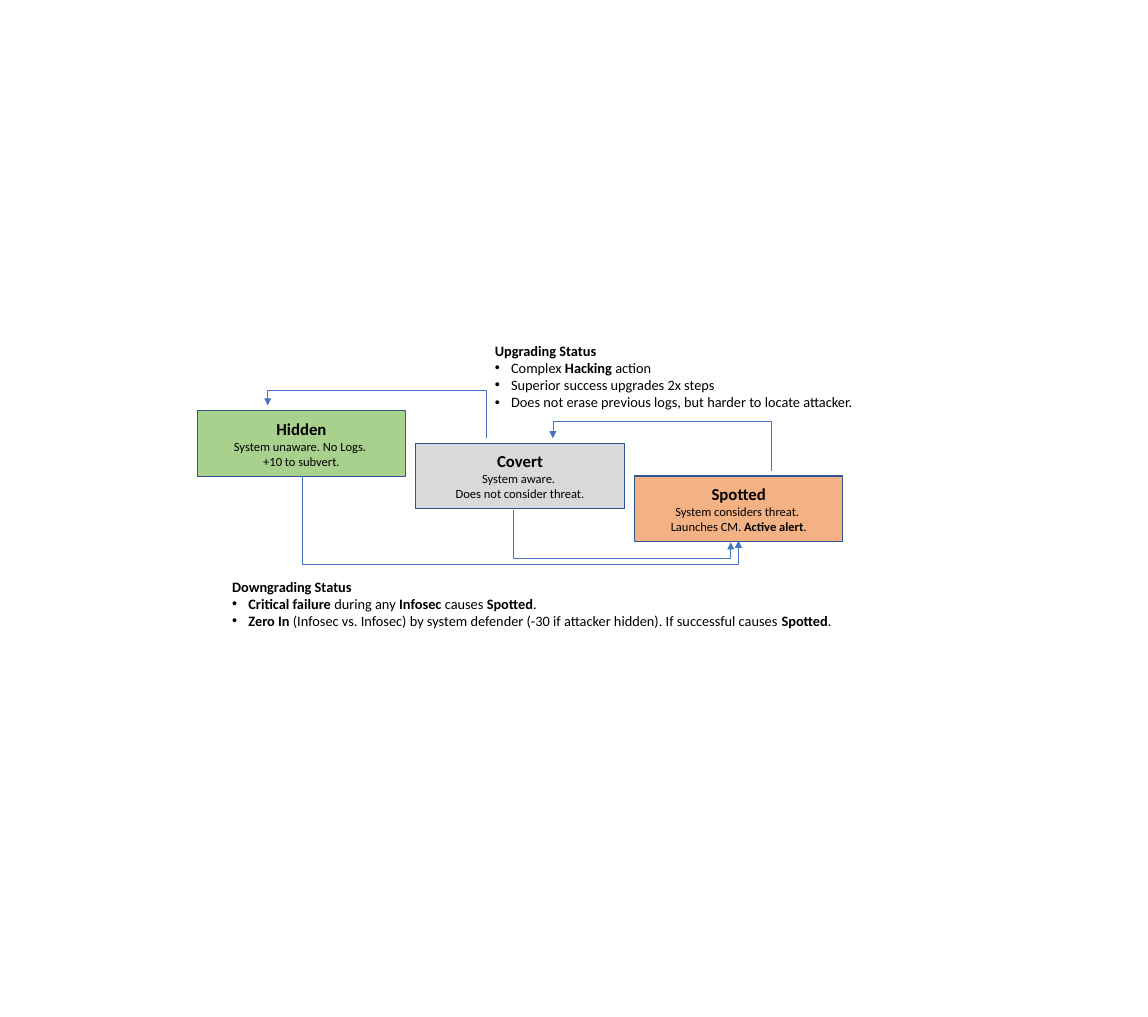
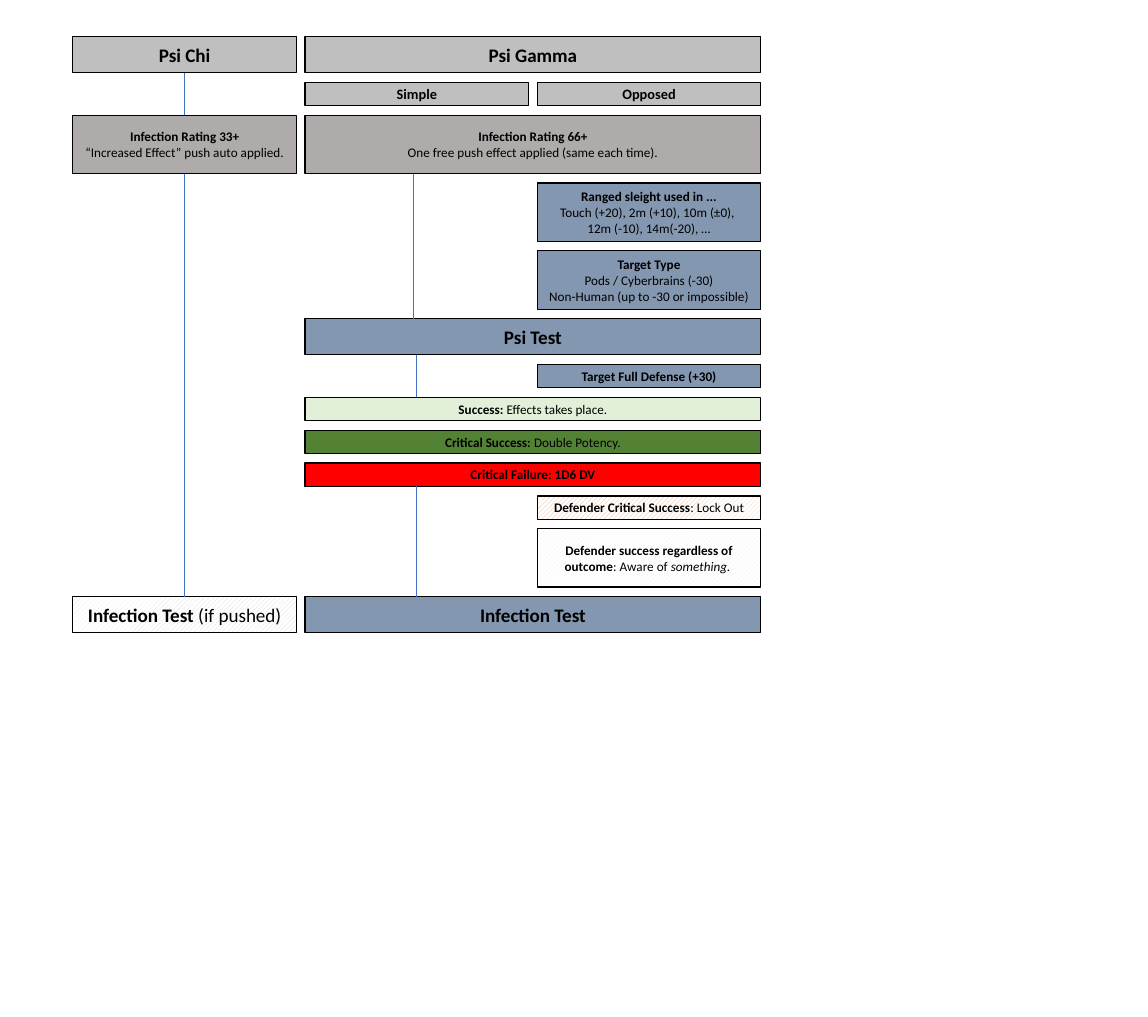
from lxml import etree
from pptx import Presentation
from pptx.dml.color import RGBColor
from pptx.enum.dml import MSO_PATTERN
from pptx.enum.shapes import MSO_CONNECTOR, MSO_SHAPE
from pptx.enum.text import MSO_ANCHOR, PP_ALIGN
from pptx.oxml.ns import qn
from pptx.util import Cm, Pt

RECTANGLE = MSO_SHAPE.RECTANGLE
STRAIGHT, ELBOW = MSO_CONNECTOR.STRAIGHT, MSO_CONNECTOR.ELBOW
DIAGONAL = MSO_PATTERN.WIDE_UPWARD_DIAGONAL
CENTER, LEFT = PP_ALIGN.CENTER, PP_ALIGN.LEFT
MIDDLE = MSO_ANCHOR.MIDDLE


class Theme:
    font = "Calibri"
    black, white = "000000", "FFFFFF"
    status_border, link = "325491", "4472C4"
    hidden, covert, spotted = "A9D18E", "D9D9D9", "F4B183"
    header, rating, step = "BFBFBF", "AFABAB", "8497B0"
    success, critical, failure = "E2F0D9", "548235", "FF0000"
    lock_hatch, aware_hatch, pushed_hatch = "F4B183", "F2F2F2", "D6DCE5"
    heading, state, note, body, detail = 16, 14, 12, 11, 10.5
    border, link_width = Pt(1), Pt(0.5)


def write(frame, lines, first_size, size, align=CENTER, bulleted=False):
    """Fill a frame; *...* is bold, *_...* is italic, \\n breaks a line."""
    frame.word_wrap = True
    for number, line in enumerate(lines):
        paragraph = frame.paragraphs[0] if number == 0 else frame.add_paragraph()
        paragraph.alignment = align
        for part_number, part in enumerate(line.split("*")):
            for piece_number, piece in enumerate(part.split("\n")):
                if piece_number:
                    paragraph.add_line_break()
                if not piece:
                    continue
                run = paragraph.add_run()
                run.text = piece.lstrip("_")
                run.font.name = Theme.font
                run.font.size = Pt(size if number else first_size)
                run.font.color.rgb = RGBColor.from_string(Theme.black)
                run.font.italic = piece.startswith("_")
                run.font.bold = part_number % 2 == 1 and not run.font.italic
        if bulleted and number:
            properties = paragraph._p.get_or_add_pPr()
            properties.set("marL", str(Cm(0.48)))
            properties.set("indent", str(-Cm(0.48)))
            etree.SubElement(properties, qn("a:buFont")).set("typeface", "Arial")
            etree.SubElement(properties, qn("a:buChar")).set("char", "•")


def add_box(slide, left, top, width, height, color, border, hatched=False):
    box = slide.shapes.add_shape(RECTANGLE, Cm(left), Cm(top), Cm(width), Cm(height))
    box.shadow.inherit = False
    if hatched:
        box.fill.patterned()
        box.fill.pattern = DIAGONAL
        box.fill.back_color.rgb = RGBColor.from_string(Theme.white)
    else:
        box.fill.solid()
    box.fill.fore_color.rgb = RGBColor.from_string(color)
    box.line.color.rgb = RGBColor.from_string(border)
    box.line.width = Theme.border
    box.text_frame.vertical_anchor = MIDDLE
    return box.text_frame


presentation = Presentation()
presentation.slide_width, presentation.slide_height = Cm(33.87), Cm(30)
blank = presentation.slide_layouts[6]
status_slide = presentation.slides.add_slide(blank)
psi_slide = presentation.slides.add_slide(blank)

# Status steps, descending from left to right
statuses = [
    (Theme.hidden, ["*Hidden*", "System unaware. No Logs. \n+10 to subvert."]),
    (Theme.covert, ["*Covert*", "System aware. \nDoes not consider threat."]),
    (Theme.spotted, ["*Spotted*",
                     "System considers threat. \nLaunches CM. *Active alert*."]),
]
for index, (color, lines) in enumerate(statuses):
    frame = add_box(status_slide, 5.82 + 6.45 * index, 12.12 + 0.96 * index,
                    6.15, 1.93, color, Theme.status_border)
    write(frame, lines, Theme.state, Theme.detail)

# Rules for changing status
rules = [
    (14.35, 9.96, 11.63, 2.82, [
        "*Upgrading Status*",
        "Complex *Hacking *action",
        "Superior success upgrades 2x steps",
        "Does not erase previous logs, but harder to locate attacker."]),
    (6.6, 16.92, 18.29, 1.8, [
        "*Downgrading Status*",
        "*Critical failure *during any *Infosec *causes *Spotted*.",
        "*Zero In *(Infosec vs. Infosec) by system defender "
        "(-30 if attacker hidden). If successful causes *Spotted*."]),
]
for left, top, width, height, lines in rules:
    panel = status_slide.shapes.add_textbox(Cm(left), Cm(top), Cm(width), Cm(height))
    write(panel.text_frame, lines, Theme.note, Theme.note, LEFT, True)

# Psi flow: three columns, rows stacked with one gap
COLUMN, COLUMN_STEP, WIDE = 6.6, 6.85, 13.45
TALL, BAR, BLOCK, GAP = 1.07, 0.69, 1.72, 0.28
CHI, GAMMA, OPPOSED = [2.15 + COLUMN_STEP * index for index in range(3)]
SIMPLE = GAMMA
# Each row: name, height, type size, boxes (left, width, colour, hatched, lines)
rows = [
    ("header", TALL, Theme.heading, [
        (CHI, COLUMN, Theme.header, False, ["*Psi Chi*"]),
        (GAMMA, WIDE, Theme.header, False, ["*Psi Gamma*"])]),
    ("kind", BAR, Theme.note, [
        (SIMPLE, COLUMN, Theme.header, False, ["*Simple*"]),
        (OPPOSED, COLUMN, Theme.header, False, ["*Opposed*"])]),
    ("rating", BLOCK, Theme.body, [
        (CHI, COLUMN, Theme.rating, False,
         ["*Infection Rating 33+*", "“Increased Effect” push auto applied."]),
        (GAMMA, WIDE, Theme.rating, False,
         ["*Infection Rating 66+*", "One free push effect applied (same each time)."])]),
    ("range", BLOCK, Theme.body, [
        (OPPOSED, COLUMN, Theme.step, False,
         ["*Ranged sleight used in ...*", "Touch (+20), 2m (+10), 10m (±0), ",
          "12m (-10), 14m(-20), …"])]),
    ("target", BLOCK, Theme.body, [
        (OPPOSED, COLUMN, Theme.step, False,
         ["*Target Type*", "Pods / Cyberbrains (-30)",
          "Non-Human (up to -30 or impossible)"])]),
    ("psi test", TALL, Theme.heading, [
        (GAMMA, WIDE, Theme.step, False, ["*Psi Test*"])]),
    ("defense", BAR, Theme.body, [
        (OPPOSED, COLUMN, Theme.step, False, ["*Target Full Defense (+30)*"])]),
    ("success", BAR, Theme.body, [
        (GAMMA, WIDE, Theme.success, False, ["*Success:* Effects takes place."])]),
    ("critical", BAR, Theme.body, [
        (GAMMA, WIDE, Theme.critical, False, ["*Critical Success: *Double Potency."])]),
    ("failure", BAR, Theme.body, [
        (GAMMA, WIDE, Theme.failure, False, ["*Critical Failure: 1D6 DV*"])]),
    ("lock out", BAR, Theme.body, [
        (OPPOSED, COLUMN, Theme.lock_hatch, True,
         ["*Defender Critical Success*: Lock Out"])]),
    ("aware", BLOCK, Theme.body, [
        (OPPOSED, COLUMN, Theme.aware_hatch, True,
         ["*Defender success regardless of outcome*: Aware of *_something. *"])]),
    ("infection", TALL, Theme.heading, [
        (GAMMA, WIDE, Theme.step, False, ["*Infection Test*"]),
        (CHI, COLUMN, Theme.pushed_hatch, True, ["*Infection Test* (if pushed)"])]),
]
tops, bottoms = {}, {}
top = 1.08
for name, height, size, boxes in rows:
    tops[name], bottoms[name] = top, top + height
    for left, width, color, hatched, lines in boxes:
        frame = add_box(psi_slide, left, top, width, height, color, Theme.black, hatched)
        write(frame, lines, size, size)
    top += height + GAP

# Links: slide, start, end, height of the bend (None for a straight line)
links = [
    (status_slide, (14.35, 12.93), (7.9, 11.96), 11.5),
    (status_slide, (22.76, 13.89), (16.31, 12.93), 12.42),
    (status_slide, (8.92, 14.05), (21.79, 15.95), 16.64),
    (status_slide, (15.14, 15.04), (21.56, 16), 16.48),
]
for x, upper, lower in [(5.44, "header", "rating"), (5.44, "rating", "infection"),
                        (12.19, "rating", "psi test"), (12.28, "psi test", "success"),
                        (12.28, "failure", "infection")]:
    links.append((psi_slide, (x, bottoms[upper]), (x, tops[lower]), None))

for slide, (x1, y1), (x2, y2), bend in links:
    if bend is None:
        link = slide.shapes.add_connector(STRAIGHT, Cm(x1), Cm(y1), Cm(x2), Cm(y2))
    else:
        # An elbow that leaves vertically is a horizontal one turned by 270 degrees
        across, down = abs(x2 - x1), abs(y2 - y1)
        left, top = (x1 + x2 - down) / 2, (y1 + y2 - across) / 2
        link = slide.shapes.add_connector(ELBOW, Cm(left), Cm(top),
                                          Cm(left + down), Cm(top + across))
        transform = link._element.spPr.find(qn("a:xfrm"))
        transform.set("rot", "16200000")
        transform.set("flipV" if y2 < y1 else "flipH", "1")
        geometry = link._element.spPr.find(qn("a:prstGeom"))
        adjustments = geometry.find(qn("a:avLst"))
        if adjustments is None:
            adjustments = etree.SubElement(geometry, qn("a:avLst"))
        guide = etree.SubElement(adjustments, qn("a:gd"))
        guide.set("name", "adj1")
        guide.set("fmla", f"val {round((bend - y1) / (y2 - y1) * 100000)}")
    link.line.color.rgb = RGBColor.from_string(Theme.link)
    link.line.width = Theme.link_width
    if bend is not None:
        outline = link._element.spPr.find(qn("a:ln"))
        etree.SubElement(outline, qn("a:tailEnd")).set("type", "triangle")
    etree.SubElement(link._element.spPr, qn("a:effectLst"))

presentation.save("out.pptx")
